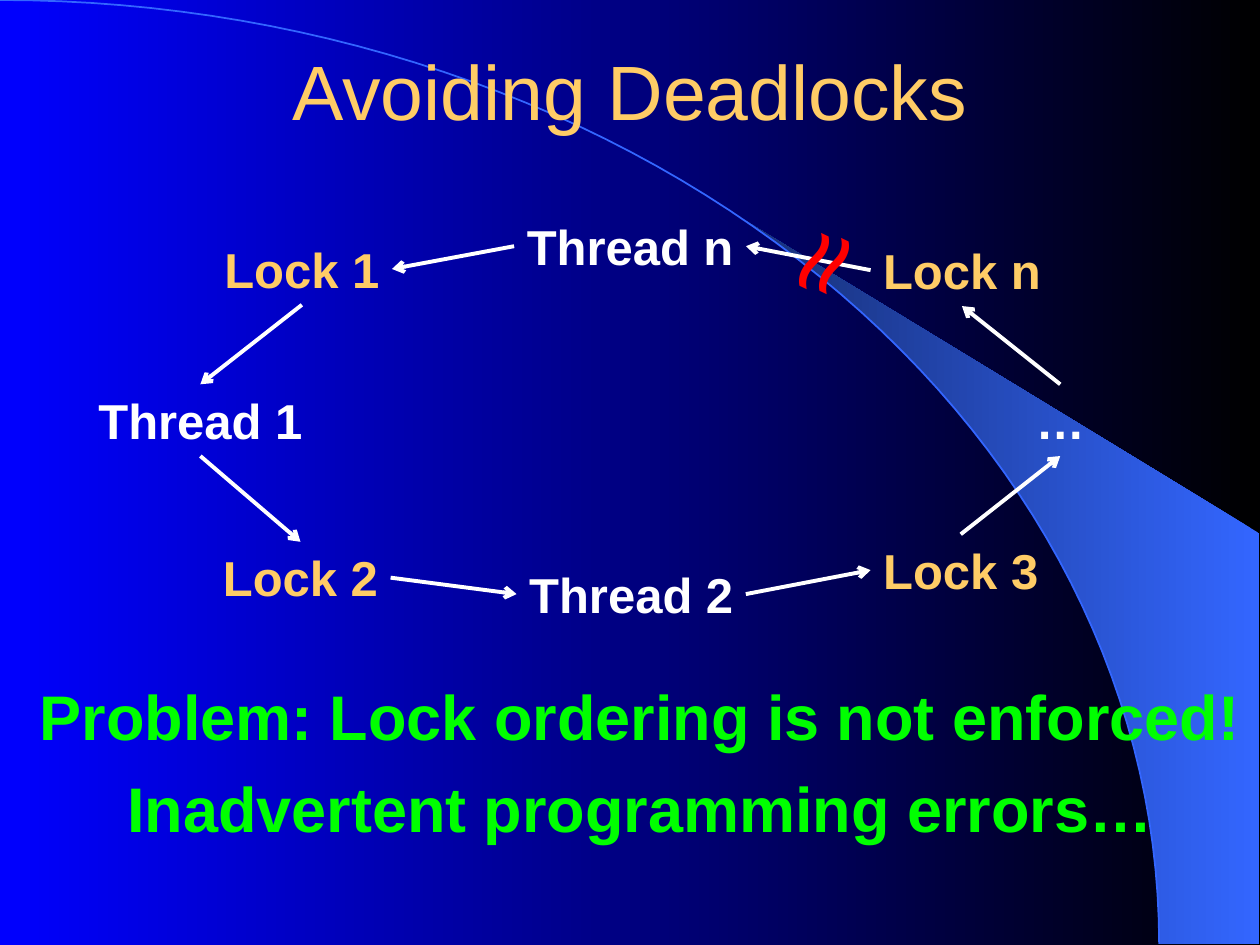
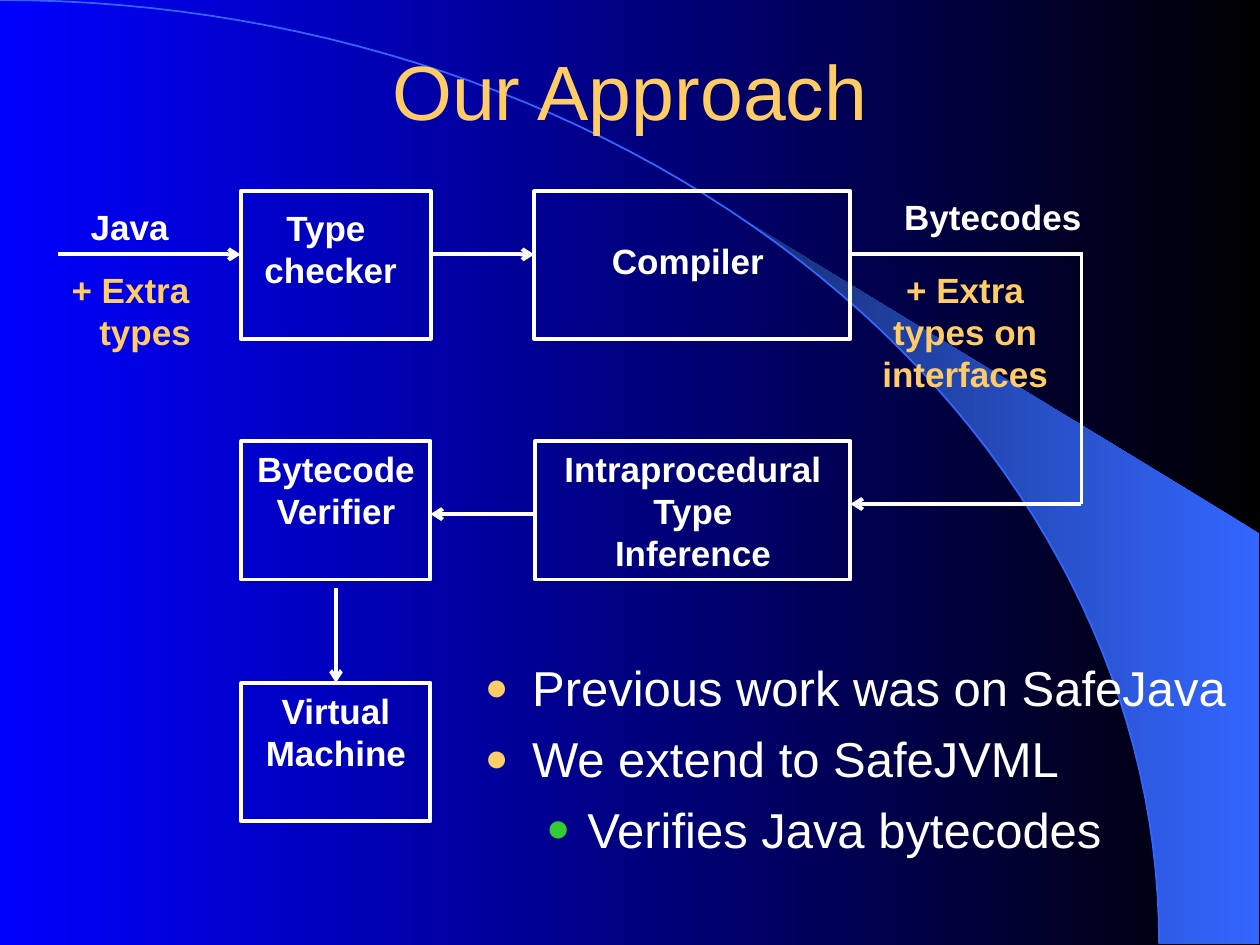
import math

import lxml.etree
import pptx
import pptx.dml.color
import pptx.enum.shapes
import pptx.enum.text
import pptx.oxml.ns
import pptx.util

Pt = pptx.util.Pt
ALIGN = pptx.enum.text.PP_ALIGN
WIDTH, HEIGHT = 720, 540
COLORS = {
    "black": "000000", "blue": "0000FF", "sky": "3366FF", "navy": "172F75",
    "gold": "FFCC66", "white": "FFFFFF", "red": "FF0000",
    "lime": "00FF00", "green": "33CC33",
}
CENTERED = {"alignment": ALIGN.CENTER}
TITLE_FONT = {"name": "Arial", "size": Pt(44)}
NODE_FONT = {"name": "Arial", "size": Pt(28), "bold": True}
STAGE_FONT = {"name": "Arial", "size": Pt(20), "bold": True}
PROBLEM_FONT = {"name": "Arial", "size": Pt(36), "bold": True}
CUT_FONT = {"name": "Arial", "size": Pt(66)}
BULLET_FONT = {"name": "Arial", "size": Pt(28)}
TOP, LEFT, BOTTOM, RIGHT = range(4)


def rgb(color):
    """Return the named colour as an RGBColor."""
    return pptx.dml.color.RGBColor.from_string(COLORS[color])


def apply(target, formats):
    """Set every format value on the target."""
    for attribute, value in formats.items():
        setattr(target, attribute, value)


def add_xml(parent, tag, **attributes):
    """Append a DrawingML element and return it."""
    return lxml.etree.SubElement(parent, pptx.oxml.ns.qn(tag), attributes)


def set_gradient(fill, *colors):
    """Fill with a two-stop gradient that runs from right to left."""
    fill.gradient()
    fill.gradient_angle = 180
    for stop, color in zip(fill.gradient_stops, colors):
        stop.color.rgb = rgb(color)


def set_line(line, color, width):
    """Give a line its colour and width."""
    line.color.rgb = rgb(color)
    line.width = Pt(width)


def arc(start, end, steps=60):
    """Return points on the quarter ellipse between two angles in degrees."""
    angles = [math.radians(start + (end - start) * i / steps) for i in range(steps + 1)]
    return [(662.4 * math.sin(a), 539.3 * (1 - math.cos(a))) for a in angles]


def add_outline(slide, points, close):
    """Draw a freeform through points."""
    corners = [(Pt(x), Pt(y)) for x, y in points]
    builder = slide.shapes.build_freeform(*corners[0], scale=1.0)
    builder.add_line_segments(corners[1:], close=close)
    outline = builder.convert_to_shape()
    outline.shadow.inherit = False
    return outline


def write(frame, lines, font, color, paragraph_format=CENTERED):
    """Write one paragraph per line and return the paragraphs."""
    frame.text = "\n".join(lines)
    for paragraph in frame.paragraphs:
        apply(paragraph, paragraph_format)
        for run in paragraph.runs:
            apply(run.font, font)
            run.font.color.rgb = rgb(color)
    return frame.paragraphs


def add_label(slide, box, lines, font, color, wrap=False, paragraph_format=CENTERED):
    """Add a text box at left, top, width, height."""
    label = slide.shapes.add_textbox(*map(Pt, box))
    label.text_frame.word_wrap = wrap
    write(label.text_frame, lines, font, color, paragraph_format)
    return label


def add_stage(slide, box, lines=()):
    """Add a white outlined box with its text at the top."""
    stage = slide.shapes.add_shape(pptx.enum.shapes.MSO_SHAPE.RECTANGLE, *map(Pt, box))
    stage.shadow.inherit = False
    stage.fill.background()
    set_line(stage.line, "white", 2.25)
    stage.text_frame.vertical_anchor = pptx.enum.text.MSO_ANCHOR.TOP
    write(stage.text_frame, lines, STAGE_FONT, "white")
    return stage


def add_link(slide, start=(0, 0), end=(0, 0), arrow=True):
    """Draw a white straight line, with an arrowhead at its end if wanted."""
    link = slide.shapes.add_connector(
        pptx.enum.shapes.MSO_CONNECTOR.STRAIGHT, *map(Pt, (*start, *end)))
    set_line(link.line, "white", 2.25)
    properties = link._element.spPr
    if arrow:
        add_xml(properties.find(pptx.oxml.ns.qn("a:ln")), "a:tailEnd", type="arrow")
    add_xml(properties, "a:effectLst")
    return link


def add_bullet(paragraph, char, color, percent, margin, hanging):
    """Give a paragraph a coloured bullet and a hanging indent."""
    properties = paragraph._p.get_or_add_pPr()
    properties.set("marL", str(Pt(margin)))
    properties.set("indent", str(-Pt(hanging)))
    add_xml(add_xml(properties, "a:buClr"), "a:srgbClr", val=COLORS[color])
    add_xml(properties, "a:buSzPct", val=str(percent * 1000))
    add_xml(properties, "a:buFont", typeface="Arial")
    add_xml(properties, "a:buChar", char=char)


def add_text_shadow(run):
    """Give the letters of a run a black shadow."""
    effects = add_xml(run.font._element, "a:effectLst")
    shadow = add_xml(effects, "a:outerShdw", dist=str(Pt(2)), dir="2700000")
    add_xml(shadow, "a:srgbClr", val=COLORS["black"])
    run.font._element.find(pptx.oxml.ns.qn("a:solidFill")).addnext(effects)


def start_slide(presentation, title):
    """Add a slide with the shared background, curve and title."""
    slide = presentation.slides.add_slide(presentation.slide_layouts[6])
    set_gradient(slide.background.fill, "black", "blue")
    wing = add_outline(slide, arc(39.8, 90) + [(719.3, 539.3), (719.3, 304.6)], True)
    set_gradient(wing.fill, "sky", "navy")
    wing.line.fill.background()
    curve = add_outline(slide, arc(0, 90), False)
    curve.fill.background()
    set_line(curve.line, "sky", 1)
    heading = add_label(slide, (0, 6, WIDTH, 90), [title], TITLE_FONT, "gold", wrap=True)
    heading.text_frame.vertical_anchor = pptx.enum.text.MSO_ANCHOR.MIDDLE
    return slide


def build_deadlocks(presentation):
    """Build the slide with the cycle of threads and locks."""
    slide = start_slide(presentation, "Avoiding Deadlocks")
    places = {
        "Thread 1": (49, 219.6, 131), "Thread 2": (295.2, 319, 131),
        "Thread n": (293.8, 120.2, 132.5), "…": (584.6, 219.6, 42.5),
        "Lock 1": (121, 133.2, 103), "Lock n": (497.5, 133.9, 104.4),
        "Lock 2": (120.2, 309.6, 103), "Lock 3": (497.5, 305.3, 103),
    }
    nodes = {
        name: add_label(slide, (*place, 41), [name], NODE_FONT,
                        "gold" if name.startswith("Lock") else "white")
        for name, place in places.items()
    }
    cycle = [
        ("Lock 1", BOTTOM, "Thread 1", TOP), ("Thread 1", BOTTOM, "Lock 2", TOP),
        ("Lock 2", RIGHT, "Thread 2", LEFT), ("Thread 2", RIGHT, "Lock 3", LEFT),
        ("Lock 3", TOP, "…", BOTTOM), ("…", TOP, "Lock n", BOTTOM),
        ("Thread n", LEFT, "Lock 1", RIGHT), ("Lock n", LEFT, "Thread n", RIGHT),
    ]
    for holder, exit_side, waiter, entry_side in cycle:
        link = add_link(slide)
        link.begin_connect(nodes[holder], exit_side)
        link.end_connect(nodes[waiter], entry_side)
    for left, top in ((446.4, 107.3), (434.9, 104.4)):
        cut = add_label(slide, (left, top, 52.6, 86.4), ["~"], CUT_FONT, "red")
        cut.rotation = 295.5
    problem = add_label(
        slide, (11.5, 388.8, 708.5, 98.6),
        ["Problem: Lock ordering is not enforced!", "Inadvertent programming errors…"],
        PROBLEM_FONT, "lime", wrap=True,
        paragraph_format={**CENTERED, "line_spacing": 0.9, "space_before": Pt(13.5)})
    for paragraph in problem.text_frame.paragraphs:
        properties = paragraph._p.get_or_add_pPr()
        properties.set("marL", str(Pt(45)))
        properties.set("indent", str(-Pt(45)))
        add_text_shadow(paragraph.runs[0])


def build_approach(presentation):
    """Build the slide with the pipeline of checking stages."""
    slide = start_slide(presentation, "Our Approach")
    add_stage(slide, (137.5, 109.4, 108.7, 84.2))
    add_stage(slide, (305.3, 109.4, 180.7, 84.2))
    add_stage(slide, (306, 252, 180, 79.2), ["Intraprocedural", "Type", "Inference"])
    add_stage(slide, (138, 252, 108, 79.2), ["Bytecode", "Verifier"])
    machine = add_stage(slide, (138, 390.2, 108, 79.2), ["Virtual", "Machine"])

    for box, lines, color, wrap in (
        ((144, 114.5, 90, 55.4), ["Type ", "checker"], "white", False),
        ((318.2, 133.2, 149.8, 31.7), ["Compiler"], "white", True),
        ((504.7, 108, 125.3, 31.7), ["Bytecodes"], "white", True),
        ((44.6, 113.8, 59, 55.4), ["Java"], "white", False),
        ((491.8, 149.8, 119.5, 79.2), ["+ Extra", "types on", "interfaces"], "gold", True),
    ):
        add_label(slide, box, lines, STAGE_FONT, color, wrap)
    extra = add_label(slide, (31, 149.8, 87.1, 55.4), ["+ Extra ", "types"],
                      STAGE_FONT, "gold", wrap=True)
    extra.text_frame.paragraphs[1]._p.get_or_add_pPr().set("marL", str(Pt(16.7)))

    for start, end, arrow in (
        ((33.1, 145.4), (137.5, 145.4), True),
        ((246.2, 145.4), (305.3, 145.4), True),
        ((486, 145.4), (618, 145.4), False),
        ((618, 144.3), (618, 288), False),
        ((618, 288), (486, 288), True),
        ((306, 293.8), (246, 293.8), True),
    ):
        add_link(slide, start, end, arrow)
    add_link(slide, (192, 336.2), (192, 390.2)).end_connect(machine, TOP)

    points = add_label(
        slide, (270, 372.2, 450, 136),
        ["Previous work was on SafeJava", "We extend to SafeJVML", "Verifies Java bytecodes"],
        BULLET_FONT, "white", wrap=True,
        paragraph_format={"alignment": ALIGN.LEFT, "space_before": Pt(7)})
    *main_points, detail = points.text_frame.paragraphs
    for point in main_points:
        add_bullet(point, "●", "gold", 80, 27, 27)
    detail.level = 1
    add_bullet(detail, "•", "green", 130, 58.5, 22.5)


def main():
    """Build both slides and save the deck."""
    presentation = pptx.Presentation()
    apply(presentation, {"slide_width": Pt(WIDTH), "slide_height": Pt(HEIGHT)})
    build_deadlocks(presentation)
    build_approach(presentation)
    presentation.save("out.pptx")


if __name__ == "__main__":
    main()
